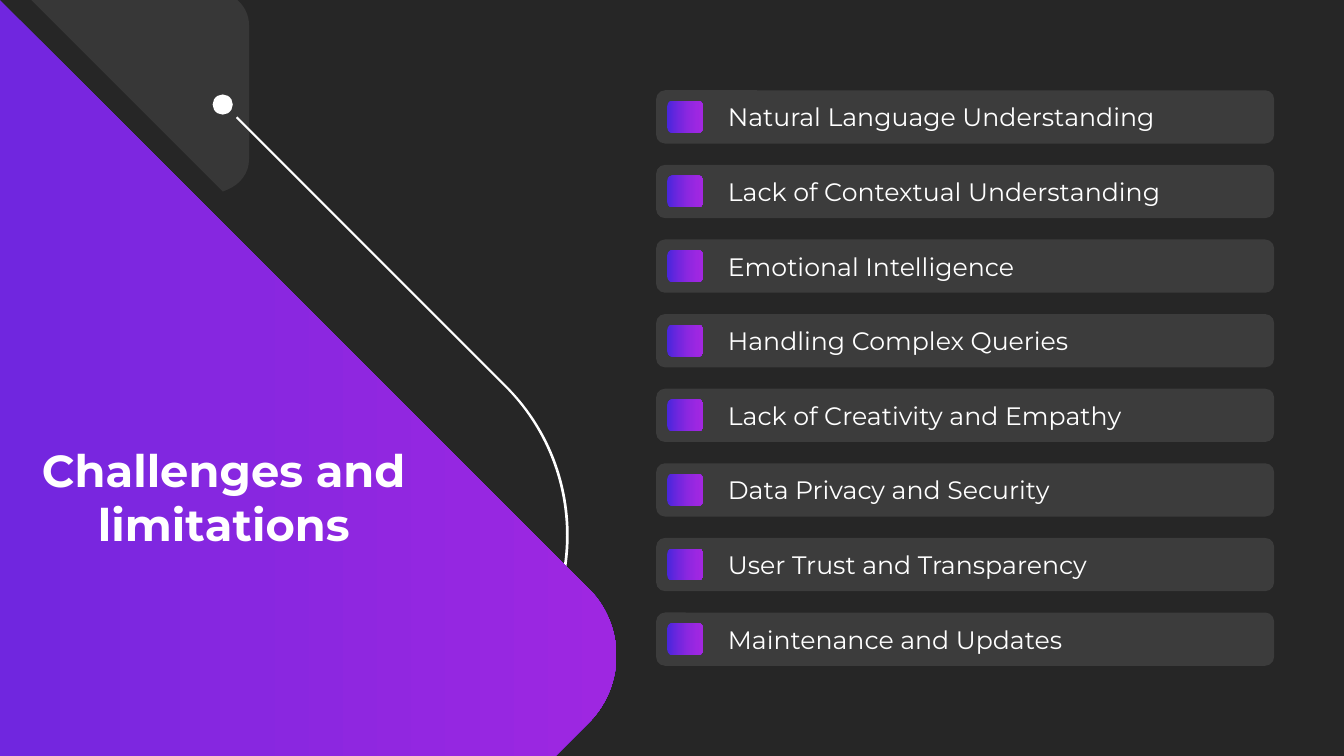
from pptx import Presentation
from pptx.dml.color import RGBColor
from pptx.enum.shapes import MSO_SHAPE
from pptx.enum.text import MSO_ANCHOR, PP_ALIGN
from pptx.oxml.ns import qn
from pptx.util import Pt
from lxml.etree import SubElement

COLORS = {
    "background": "262626",
    "white": "FFFFFF",
}
PANEL_STOPS = [(0, "7026DF"), (39, "8827E0"), (100, "9E27E1")]
MARKER_STOPS = [(0, "4826DC"), (3, "4D26DC"), (32, "7226DE"),
                (58, "8D27E0"), (82, "9D27E1"), (100, "A327E1")]
FONT = "Montserrat"

TITLE = "Challenges and limitations"
CHALLENGES = [
    "Natural Language Understanding",
    "Lack of Contextual Understanding",
    "Emotional Intelligence",
    "Handling Complex Queries",
    "Lack of Creativity and Empathy",
    "Data Privacy and Security",
    "User Trust and Transparency",
    "Maintenance and Updates",
]


def clean(shape):
    shape.shadow.inherit = False
    shape.line.fill.background()


def fill_solid(shape, color, opacity=100):
    shape.fill.solid()
    shape.fill.fore_color.rgb = RGBColor.from_string(color)
    if opacity < 100:
        tone = shape.fill._xPr.find(".//" + qn("a:srgbClr"))
        SubElement(tone, qn("a:alpha"), val=str(opacity * 1000))


def fill_gradient(shape, stops):
    shape.fill.gradient()
    shape.fill.gradient_angle = 0
    stop_list = shape.fill._xPr.find(".//" + qn("a:gsLst"))
    for stop in list(stop_list):
        stop_list.remove(stop)
    for position, color in stops:
        stop = SubElement(stop_list, qn("a:gs"), pos=str(position * 1000))
        SubElement(stop, qn("a:srgbClr"), val=color)


def write_text(frame, text, size, bold=False, align=PP_ALIGN.LEFT, anchor=MSO_ANCHOR.TOP):
    frame.word_wrap = True
    frame.vertical_anchor = anchor
    para = frame.paragraphs[0]
    para.alignment = align
    para.line_spacing = 1.0
    para.space_before = Pt(0)
    span = para.add_run()
    span.text = text
    span.font.name = FONT
    span.font.size = Pt(size)
    span.font.bold = bold
    span.font.color.rgb = RGBColor.from_string(COLORS["white"])


def curve_middle(start, control1, control2, end):
    return tuple((a + 3 * b + 3 * c + d) / 8
                 for a, b, c, d in zip(start, control1, control2, end))


def add_outline(page, box, steps):
    """Closed outline; a step is a point, or a curve of three points."""
    left, top = box
    points, curves = [steps[0]], []
    for step in steps[1:]:
        if len(step) == 3:
            # The middle and end of the curve set the extent of the shape
            curves.append((len(points), step))
            points += [curve_middle(points[-1], *step), step[-1]]
        else:
            points.append(step)
    corners = [(Pt(left + x), Pt(top + y)) for x, y in points]
    builder = page.shapes.build_freeform(*corners[0], scale=1.0)
    builder.add_line_segments(corners[1:], close=True)
    shape = builder.convert_to_shape()
    clean(shape)

    # Turn each pair of curve segments into one cubic curve
    outline = shape._element.spPr.find(".//" + qn("a:path"))
    segments = list(outline)
    for index, step in curves:
        middle, end = segments[index], segments[index + 1]
        curve = SubElement(outline, qn("a:cubicBezTo"))
        for x, y in step:
            SubElement(curve, qn("a:pt"), x=str(Pt(left + x) - shape.left),
                       y=str(Pt(top + y) - shape.top))
        outline.replace(middle, curve)
        outline.remove(end)
    return shape


def add_pointer(page, box):
    """White bent line with a dot at its upper end."""
    left, top = box
    line = add_outline(page, box, [
        (208.4, 421), (171.3, 458.1), (173.5, 458.1), (209.5, 422.1),
        ((269.3, 363), (269.3, 266.6), (209.5, 207.5)),
        (17.7, 15.7), (16.6, 16.8), (208.4, 208.6),
        ((267.1, 267.3), (267.1, 362.3), (208.4, 421)),
    ])
    fill_solid(line, COLORS["white"])
    dot = page.shapes.add_shape(MSO_SHAPE.OVAL, Pt(left), Pt(top), Pt(14.4), Pt(14.4))
    clean(dot)
    fill_solid(dot, COLORS["white"])


def add_title_panel(page, box):
    """Purple corner with the title on it."""
    left, top = box
    panel = add_outline(page, box, [
        (0, 0), (0, 540), (396.7, 540), (419.8, 517),
        ((447.1, 490.3), (447.1, 446.4), (419.8, 419.8)),
    ])
    fill_gradient(panel, PANEL_STOPS)
    title = page.shapes.title
    title.left, title.top = Pt(left + 16.6), Pt(top + 312.5)
    title.width, title.height = Pt(286.6), Pt(123.8)
    write_text(title.text_frame, TITLE, 32, bold=True, align=PP_ALIGN.CENTER)
    # Bring the title above the panel
    page.shapes._spTree.append(title._element)


def add_challenges(page, box, pitch=53.29, bar_height=38):
    """Column of bars, each with a gradient marker."""
    left, top, width = box
    for row, text in enumerate(CHALLENGES):
        bar_top = top + row * pitch
        bar = page.shapes.add_shape(MSO_SHAPE.ROUNDED_RECTANGLE, Pt(left), Pt(bar_top),
                                    Pt(width), Pt(bar_height))
        clean(bar)
        fill_solid(bar, COLORS["white"], opacity=10)
        bar.text_frame.margin_left = Pt(49.4)
        write_text(bar.text_frame, text, 18, anchor=MSO_ANCHOR.MIDDLE)
        marker = page.shapes.add_shape(MSO_SHAPE.ROUNDED_RECTANGLE, Pt(left + 7.9),
                                       Pt(bar_top + 7.6), Pt(25.9), Pt(22.8))
        clean(marker)
        fill_gradient(marker, MARKER_STOPS)


def add_corner_tile(page, box):
    """Translucent tile cut along the diagonal."""
    tile = add_outline(page, box, [
        (0, 0), (142.6, 142.6), (146.2, 141.1),
        ((154.8, 137.5), (161.3, 129.6), (161.3, 119.5)),
        (161.3, 23.8),
        ((161.3, 10.8), (150.5, 0), (137.5, 0)),
    ])
    fill_solid(tile, COLORS["white"], opacity=8)


def main():
    deck = Presentation()
    deck.slide_width, deck.slide_height = Pt(960), Pt(540)
    page = deck.slides.add_slide(deck.slide_layouts[5])
    page.background.fill.solid()
    page.background.fill.fore_color.rgb = RGBColor.from_string(COLORS["background"])

    add_pointer(page, (151.9, 67.5))
    add_title_panel(page, (0, 0))
    add_challenges(page, (468.7, 64.5, 441.4))
    add_corner_tile(page, (16.6, -5.8))
    deck.save("out.pptx")


if __name__ == "__main__":
    main()
